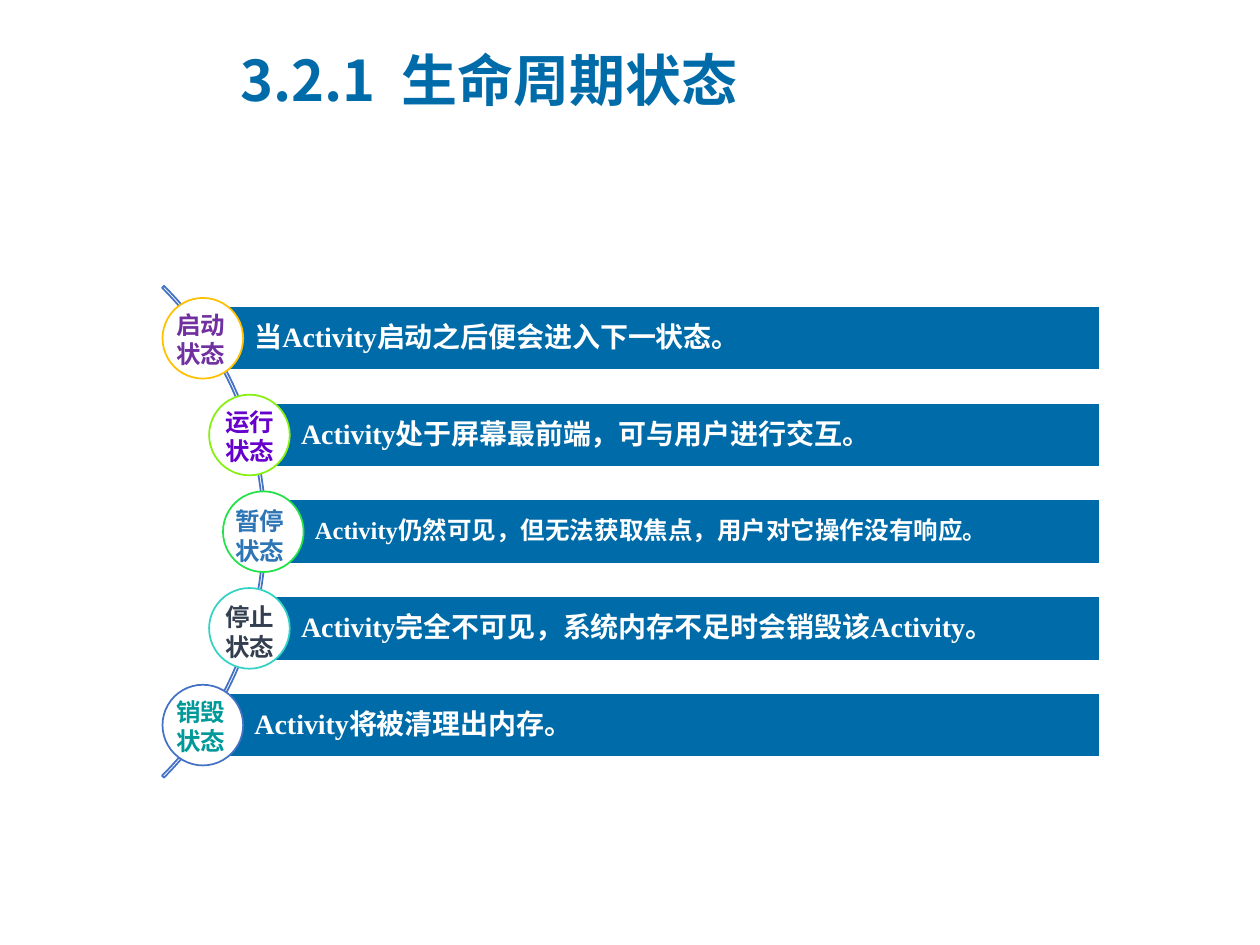
from lxml import etree
from pptx import Presentation
from pptx.dml.color import RGBColor
from pptx.enum.shapes import MSO_SHAPE
from pptx.enum.text import MSO_ANCHOR
from pptx.oxml.ns import qn
from pptx.util import Inches, Pt

BLUE = RGBColor(0x00, 0x6B, 0xA9)
ARC_BLUE = RGBColor(0x44, 0x72, 0xC4)
WHITE = RGBColor(0xFF, 0xFF, 0xFF)
CJK_FONT = "Noto Sans CJK SC"

BAR_RIGHT, BAR_HEIGHT = 8.73, 0.51
FIRST_TOP, LAST_TOP = 2.43, 5.5
CIRCLE_SIZE = 0.64

# bar left, bar text runs, bar text size, circle line, label, label colour, label left and top
STATES = [
    (1.61, ["当", "Activity", "启动之后便会进入下一状态。"], 16,
     RGBColor(0xFF, 0xC0, 0x00), "启动", RGBColor(0x70, 0x30, 0xA0), (1.3, 2.41)),
    (1.98, ["Activity", "处于屏幕最前端，可与用户进行交互。"], 16,
     RGBColor(0x86, 0xF0, 0x11), "运行", RGBColor(0x66, 0x00, 0xCC), (1.69, 3.18)),
    (2.09, ["Activity", "仍然可见，但无法获取焦点，用户对它操作没有响应。"], 14,
     RGBColor(0x23, 0xE1, 0x48), "暂停", RGBColor(0x2E, 0x75, 0xB6), (1.77, 3.97)),
    (1.98, ["Activity", "完全不可见，系统内存不足时会销毁该", "Activity", "。"], 16,
     RGBColor(0x33, 0xD2, 0xC5), "停止", RGBColor(0x33, 0x3F, 0x50), (1.69, 4.73)),
    (1.61, ["Activity", "将被清理出内存。"], 16,
     ARC_BLUE, "销毁", RGBColor(0x00, 0x99, 0x99), (1.3, 5.48)),
]


def add_run(paragraph, text, size, color, name):
    run = paragraph.add_run()
    run.text = text
    font_format = {"size": Pt(size), "bold": True, "name": name}
    for attribute, value in font_format.items():
        setattr(run.font, attribute, value)
    run.font.color.rgb = color
    east_asian = etree.SubElement(run.font._element, qn("a:ea"))
    east_asian.set("typeface", CJK_FONT)


def add_outlined_shape(slide, kind, box, fill, line):
    shape = slide.shapes.add_shape(kind, *map(Inches, box))
    shape.shadow.inherit = False
    if fill is None:
        shape.fill.background()
    else:
        shape.fill.solid()
        shape.fill.fore_color.rgb = fill
    shape.line.color.rgb = line
    shape.line.width = Pt(1)
    return shape


def add_title(slide, box):
    frame = slide.shapes.add_textbox(*map(Inches, box)).text_frame
    frame.word_wrap = True
    frame.vertical_anchor = MSO_ANCHOR.MIDDLE
    add_run(frame.paragraphs[0], "3.2.1  生命周期状态", 32, BLUE, CJK_FONT)


def add_arc(slide, box):
    arc = add_outlined_shape(slide, MSO_SHAPE.BLOCK_ARC, box, None, ARC_BLUE)
    for index, value in enumerate((189, 27, 0.004)):
        arc.adjustments[index] = value


def add_bar(slide, box, texts, size):
    bar = add_outlined_shape(slide, MSO_SHAPE.RECTANGLE, box, BLUE, WHITE)
    frame = bar.text_frame
    frame_format = {
        "word_wrap": True,
        "vertical_anchor": MSO_ANCHOR.MIDDLE,
        "margin_left": Inches(0.41),
        "margin_right": Inches(0.04),
        "margin_top": Inches(0.04),
        "margin_bottom": Inches(0.04),
    }
    for attribute, value in frame_format.items():
        setattr(frame, attribute, value)
    paragraph = frame.paragraphs[0]
    paragraph.alignment = 1
    paragraph.line_spacing = 0.9
    for text in texts:
        name = "Times New Roman" if text == "Activity" else "Calibri"
        add_run(paragraph, text, size, WHITE, name)


def add_label(slide, box, label, color):
    frame = slide.shapes.add_textbox(*map(Inches, box)).text_frame
    frame.word_wrap = False
    add_run(frame.paragraphs[0], label, 14, color, "Calibri")
    add_run(frame.add_paragraph(), "状态", 14, color, "Calibri")


def add_state(slide, top, state):
    """Place one bar, the circle centred on its left end, and the circle's label."""
    left, texts, size, line, label, label_color, label_position = state
    add_bar(slide, (left, top, BAR_RIGHT - left, BAR_HEIGHT), texts, size)
    circle_box = (left - CIRCLE_SIZE / 2, top + (BAR_HEIGHT - CIRCLE_SIZE) / 2,
                  CIRCLE_SIZE, CIRCLE_SIZE)
    add_outlined_shape(slide, MSO_SHAPE.OVAL, circle_box, WHITE, line)
    add_label(slide, (*label_position, 0.59, 0.57), label, label_color)


def main():
    presentation = Presentation()
    presentation.slide_width = Inches(10)
    presentation.slide_height = Inches(7.5)
    slide = presentation.slides.add_slide(presentation.slide_layouts[6])
    add_arc(slide, (-3.41, 1.46, 5.52, 5.52))
    pitch = (LAST_TOP - FIRST_TOP) / (len(STATES) - 1)
    for index, state in enumerate(STATES):
        add_state(slide, FIRST_TOP + index * pitch, state)
    add_title(slide, (1.81, 0.21, 5.63, 0.84))
    presentation.save("out.pptx")


if __name__ == "__main__":
    main()
